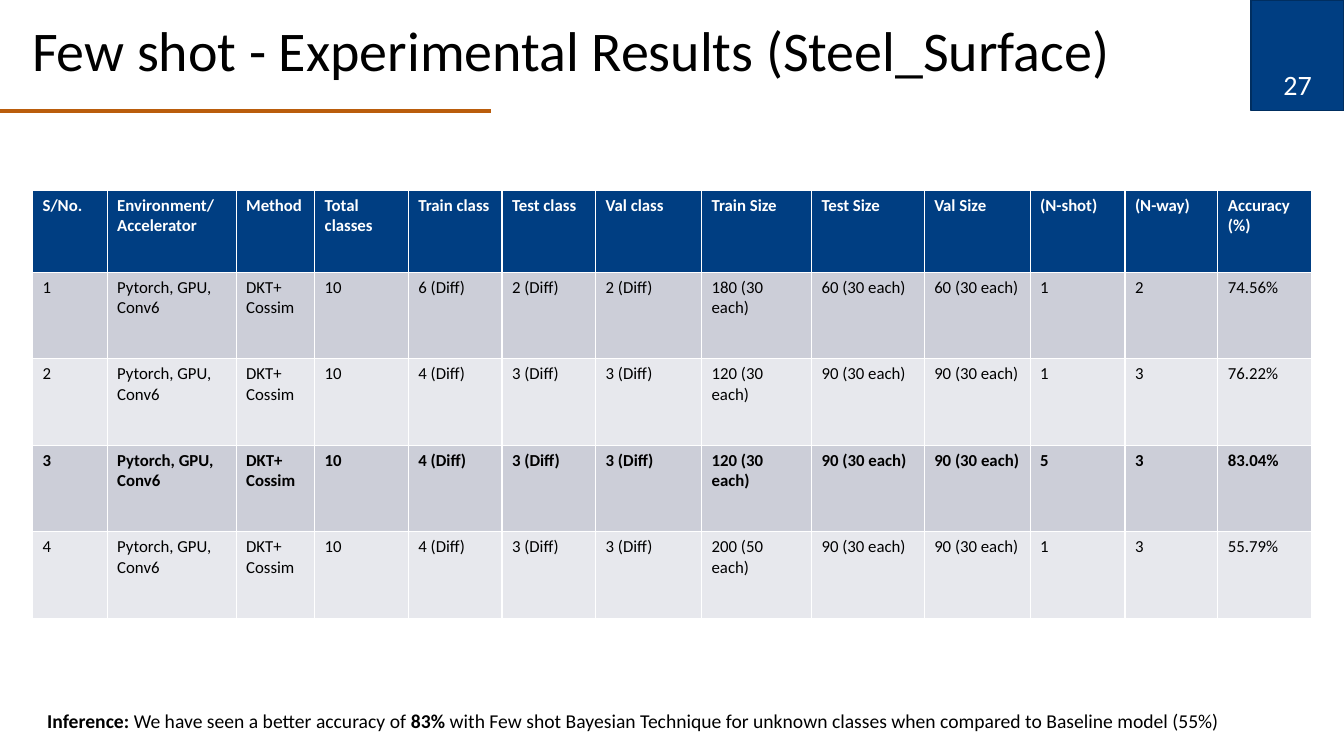
from dataclasses import dataclass

import pptx
import pptx.dml.color
import pptx.enum.shapes
import pptx.enum.text
import pptx.oxml
import pptx.oxml.ns
import pptx.util

Cm = pptx.util.Cm
Pt = pptx.util.Pt
Anchor = pptx.enum.text.MSO_ANCHOR
Align = pptx.enum.text.PP_ALIGN


def color(value):
    return pptx.dml.color.RGBColor.from_string(value)


@dataclass(frozen=True)
class Theme:
    font: str = "Calibri"
    navy: pptx.dml.color.RGBColor = color("003E82")
    navy_edge: pptx.dml.color.RGBColor = color("002E60")
    orange: pptx.dml.color.RGBColor = color("BA5D0C")
    black: pptx.dml.color.RGBColor = color("000000")
    white: pptx.dml.color.RGBColor = color("FFFFFF")
    odd_row: pptx.dml.color.RGBColor = color("CCCED8")
    even_row: pptx.dml.color.RGBColor = color("E7E8ED")
    title_size: int = 40
    number_size: int = 20
    inference_size: int = 14
    table_size: int = 12


THEME = Theme()

COLUMN_WIDTHS = [1.88, 3.25, 1.98, 2.36, 2.36, 2.36, 2.67, 2.77, 2.84, 2.67, 2.39, 2.34, 2.36]
HEADER_HEIGHT = 2.06
ROW_HEIGHT = 2.18
HEADERS = ["S/No.", "Environment/Accelerator", "Method", "Total classes",
           "Train class", "Test class", "Val class", "Train Size", "Test Size",
           "Val Size", "(N-shot)", "(N-way)", "Accuracy (%)"]
SETUP = ["Pytorch, GPU,\nConv6", "DKT+\nCossim", "10"]
RESULTS = [
    ["6 (Diff)", "2 (Diff)", "2 (Diff)", "180 (30 each)", "60 (30 each)", "60 (30 each)", "1", "2", "74.56%"],
    ["4 (Diff)", "3 (Diff)", "3 (Diff)", "120 (30 each)", "90 (30 each)", "90 (30 each)", "1", "3", "76.22%"],
    ["4 (Diff)", "3 (Diff)", "3 (Diff)", "120 (30 each)", "90 (30 each)", "90 (30 each)", "5", "3", "83.04%"],
    ["4 (Diff)", "3 (Diff)", "3 (Diff)", "200 (50 each)", "90 (30 each)", "90 (30 each)", "1", "3", "55.79%"],
]
BEST_RESULT = 3
INFERENCE = [
    ("Inference: ", True),
    ("We have seen a better accuracy of ", False),
    ("83% ", True),
    ("with Few shot Bayesian Technique for unknown classes when compared to Baseline model (55%)", False),
]


def style_font(paragraph, size, font_color):
    paragraph.font.name = THEME.font
    paragraph.font.size = Pt(size)
    paragraph.font.color.rgb = font_color


def add_text(slide, left, top, width, height, runs, size, font_color, anchor=Anchor.MIDDLE):
    box = slide.shapes.add_textbox(Cm(left), Cm(top), Cm(width), Cm(height))
    frame = box.text_frame
    frame.word_wrap = True
    frame.vertical_anchor = anchor
    paragraph = frame.paragraphs[0]
    style_font(paragraph, size, font_color)
    for text, bold in runs:
        run = paragraph.add_run()
        run.text = text
        run.font.bold = bold
    return paragraph


def add_title(slide, left, top, width, height, text):
    rule_top = top + height + 0.1
    rule = slide.shapes.add_connector(
        pptx.enum.shapes.MSO_CONNECTOR.STRAIGHT,
        Cm(0), Cm(rule_top), Cm(12.37), Cm(rule_top))
    rule.line.color.rgb = THEME.orange
    rule.line.width = Pt(3)
    rule._element.spPr.append(pptx.oxml.parse_xml(
        "<a:effectLst %s/>" % pptx.oxml.ns.nsdecls("a")))
    paragraph = add_text(slide, left, top, width, height, [(text, False)],
                         THEME.title_size, THEME.black)
    paragraph.line_spacing = 0.9


def add_page_number(slide, left, top, width, height, number):
    block = slide.shapes.add_shape(
        pptx.enum.shapes.MSO_SHAPE.RECTANGLE,
        Cm(left), Cm(top), Cm(width), Cm(height))
    block.shadow.inherit = False
    block.fill.solid()
    block.fill.fore_color.rgb = THEME.navy
    block.line.color.rgb = THEME.navy_edge
    block.line.width = Pt(1)
    label_height = 1.35
    paragraph = add_text(slide, left, top + height - label_height, width, label_height,
                         [(str(number), False)], THEME.number_size, THEME.white)
    paragraph.alignment = Align.CENTER


def fill_row(cells, texts, fill_color, font_color, bold):
    for cell, text in zip(cells, texts):
        cell.fill.solid()
        cell.fill.fore_color.rgb = fill_color
        cell.text = text
        for paragraph in cell.text_frame.paragraphs:
            style_font(paragraph, THEME.table_size, font_color)
            paragraph.font.bold = bold


def add_results_table(slide, left, top):
    height = HEADER_HEIGHT + ROW_HEIGHT * len(RESULTS)
    table = slide.shapes.add_table(
        len(RESULTS) + 1, len(HEADERS),
        Cm(left), Cm(top), Cm(sum(COLUMN_WIDTHS)), Cm(height)).table
    for column, width in zip(table.columns, COLUMN_WIDTHS):
        column.width = Cm(width)
    table.rows[0].height = Cm(HEADER_HEIGHT)
    fill_row(table.rows[0].cells, HEADERS, THEME.navy, THEME.white, True)
    for number, result in enumerate(RESULTS, start=1):
        row = table.rows[number]
        row.height = Cm(ROW_HEIGHT)
        fill_color = THEME.odd_row if number % 2 else THEME.even_row
        fill_row(row.cells, [str(number), *SETUP, *result], fill_color,
                 THEME.black, number == BEST_RESULT)


def add_inference(slide, left, top, width, height):
    add_text(slide, left, top, width, height, INFERENCE,
             THEME.inference_size, THEME.black, Anchor.TOP)


def main():
    presentation = pptx.Presentation()
    presentation.slide_width = Cm(33.87)
    presentation.slide_height = Cm(19.05)
    slide = presentation.slides.add_slide(presentation.slide_layouts[6])
    add_title(slide, 0.56, 0, 30.96, 2.69, "Few shot - Experimental Results (Steel_Surface)")
    add_page_number(slide, 31.53, 0, 2.34, 2.79, 27)
    add_results_table(slide, 0.82, 4.8)
    add_inference(slide, 0.94, 17.75, 32.1, 0.86)
    presentation.save("out.pptx")


if __name__ == "__main__":
    main()
